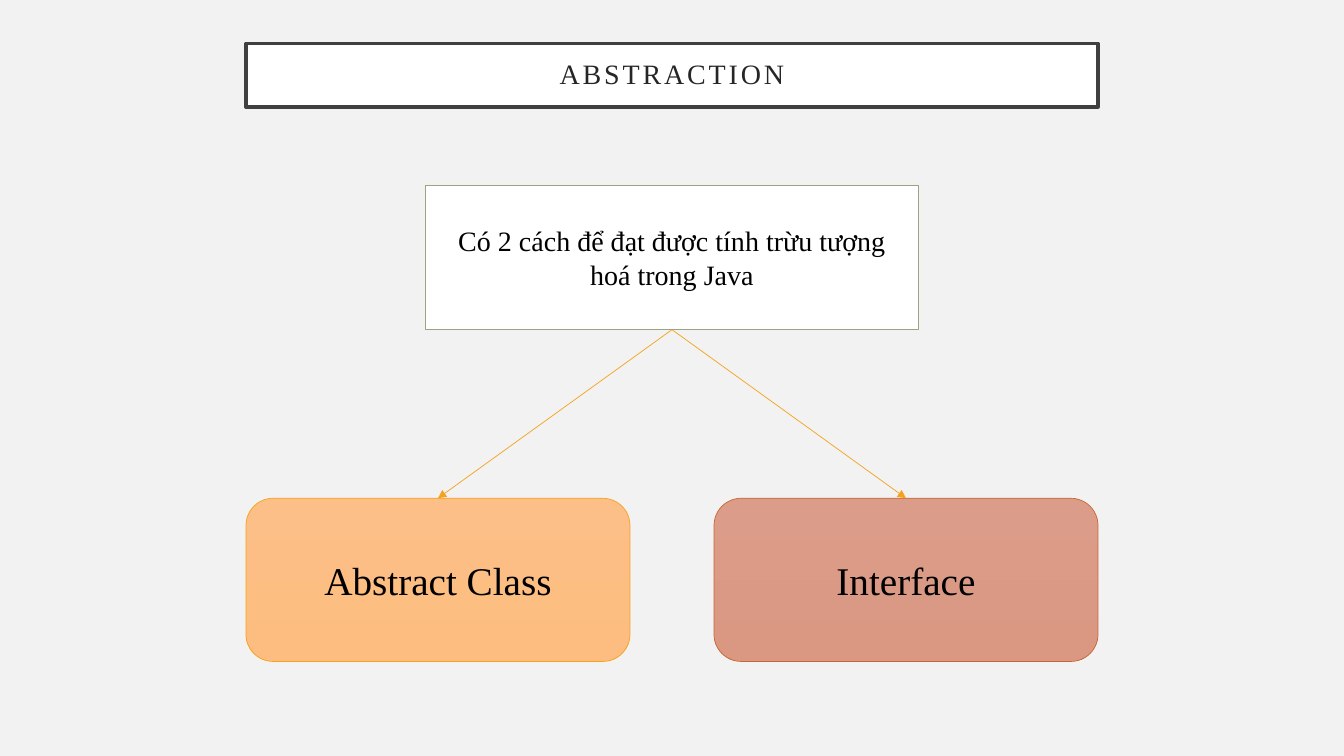
from lxml import etree
from pptx import Presentation
from pptx.dml.color import RGBColor
from pptx.enum.shapes import MSO_CONNECTOR, MSO_SHAPE
from pptx.enum.text import MSO_ANCHOR, MSO_AUTO_SIZE, PP_ALIGN
from pptx.oxml.ns import qn
from pptx.util import Pt

RECT = MSO_SHAPE.RECTANGLE
ROUNDED = MSO_SHAPE.ROUNDED_RECTANGLE
STRAIGHT = MSO_CONNECTOR.STRAIGHT
MIDDLE = MSO_ANCHOR.MIDDLE
CENTER = PP_ALIGN.CENTER
NO_AUTOFIT = MSO_AUTO_SIZE.NONE

FONT = "Times New Roman"
TITLE_ONLY = 5
BOTTOM_SITE, TOP_SITE = 2, 0

BACKGROUND = RGBColor(0xF2, 0xF2, 0xF2)
WHITE = RGBColor(0xFF, 0xFF, 0xFF)
BLACK = RGBColor(0x00, 0x00, 0x00)
TITLE_TEXT = RGBColor(0x26, 0x26, 0x26)
TITLE_LINE = RGBColor(0x40, 0x40, 0x40)
SAGE = RGBColor(0x9C, 0xA3, 0x83)
ORANGE = RGBColor(0xF6, 0xA2, 0x1D)
ORANGE_FILL = (RGBColor(0xFC, 0xBF, 0x87), RGBColor(0xFD, 0xBD, 0x80))
RUST = RGBColor(0xC9, 0x67, 0x31)
RUST_FILL = (RGBColor(0xDB, 0x9C, 0x89), RGBColor(0xDA, 0x98, 0x82))

SLIDE_W, SLIDE_H = 960, 540
CONTENT_W = 608.6
LEFT = (SLIDE_W - CONTENT_W) / 2
WAYS = [
    ("Abstract Class", ORANGE_FILL, ORANGE),
    ("Interface", RUST_FILL, RUST),
]


def set_line(s, color, width):
    s.line.color.rgb = color
    s.line.width = Pt(width)


def fill_solid(s, color):
    s.fill.solid()
    s.fill.fore_color.rgb = color


def fill_gradient(s, colors):
    """Fill from the first colour at the top to the last at the bottom."""
    s.fill.gradient()
    s.fill.gradient_angle = 270
    for i, (stop, color) in enumerate(zip(s.fill.gradient_stops, colors)):
        stop.position = i
        stop.color.rgb = color


def write_centered(s, text, size, color=BLACK):
    tf = s.text_frame
    tf.word_wrap = True
    tf.auto_size = NO_AUTOFIT
    tf.vertical_anchor = MIDDLE
    p = tf.paragraphs[0]
    p.alignment = CENTER
    r = p.add_run()
    r.text = text
    r.font.name = FONT
    r.font.size = Pt(size)
    r.font.color.rgb = color
    return p, r


def add_box(slide, kind, x, y, w, h):
    s = slide.shapes.add_shape(kind, Pt(x), Pt(y), Pt(w), Pt(h))
    s.shadow.inherit = False
    return s


def place_title(slide, text, x, y, w, h):
    s = slide.shapes.title
    s.left, s.top, s.width, s.height = Pt(x), Pt(y), Pt(w), Pt(h)
    fill_solid(s, WHITE)
    set_line(s, TITLE_LINE, 2.5)
    p, r = write_centered(s, text, 20, TITLE_TEXT)
    tf = s.text_frame
    tf.margin_left = tf.margin_right = Pt(14.4)
    tf.margin_top = tf.margin_bottom = Pt(14.4)
    p.line_spacing = 0.9
    p.space_before = Pt(0)
    r.font._element.set("spc", "200")


def add_arrow(slide, source, target):
    """Join the bottom of source to the top of target."""
    s = slide.shapes.add_connector(STRAIGHT, 0, 0, 0, 0)
    s.begin_connect(source, BOTTOM_SITE)
    s.end_connect(target, TOP_SITE)
    set_line(s, ORANGE, 0.5)
    etree.SubElement(s.line._get_or_add_ln(), qn("a:tailEnd"), type="triangle")
    etree.SubElement(s._element.spPr, qn("a:effectLst"))


def add_tree(slide, x, y, w, h):
    """Draw the statement on top and the ways below, spread over the width."""
    root_w, root_h = 352, 103
    way_w, way_h = 274.3, 116.6
    root = add_box(slide, RECT, x + (w - root_w) / 2, y, root_w, root_h)
    fill_solid(root, WHITE)
    set_line(root, SAGE, 1)
    write_centered(root, "Có 2 cách để đạt được tính trừu tượng hoá trong Java", 20)

    step = (w - way_w) / (len(WAYS) - 1)
    for i, (name, colors, line) in enumerate(WAYS):
        way = add_box(slide, ROUNDED, x + i * step, y + h - way_h, way_w, way_h)
        fill_gradient(way, colors)
        set_line(way, line, 0.5)
        write_centered(way, name, 28)
        add_arrow(slide, root, way)


def main():
    prs = Presentation()
    prs.slide_width, prs.slide_height = Pt(SLIDE_W), Pt(SLIDE_H)
    slide = prs.slides.add_slide(prs.slide_layouts[TITLE_ONLY])
    fill_solid(slide.background, BACKGROUND)
    place_title(slide, "ABSTRACTION", LEFT, 31, CONTENT_W, 45.4)
    add_tree(slide, LEFT, 132.5, CONTENT_W, 340)
    prs.save("out.pptx")


if __name__ == "__main__":
    main()
